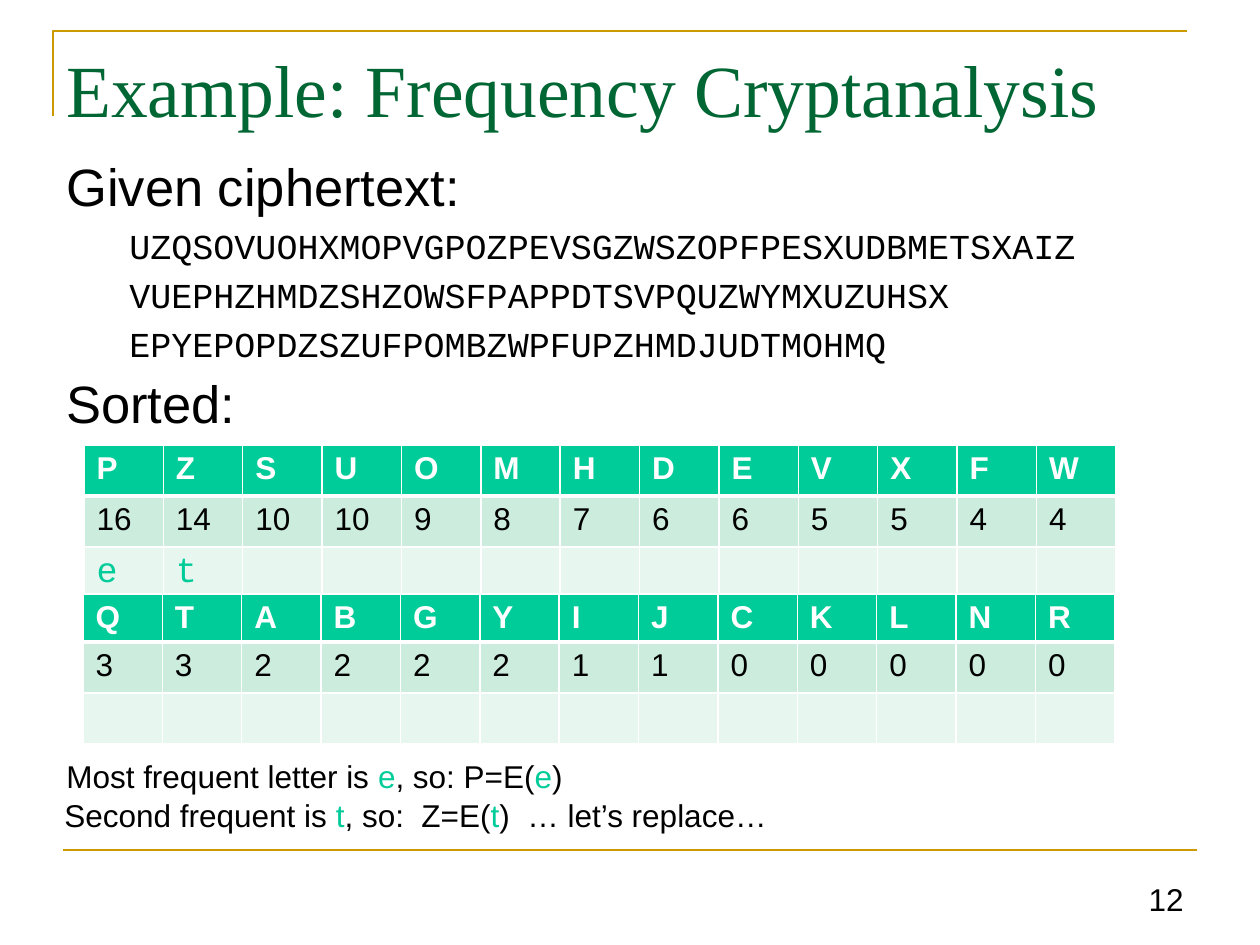
"""Build a slide on frequency cryptanalysis with sorted letter counts."""
from lxml.etree import SubElement
from pptx import Presentation
from pptx.dml.color import RGBColor
from pptx.enum.shapes import MSO_CONNECTOR
from pptx.enum.text import MSO_ANCHOR, MSO_AUTO_SIZE, PP_ALIGN
from pptx.oxml.ns import qn
from pptx.util import Pt

PX = 914400 / 126
ACCENT = "00CC99"
GOLD = "CC9900"
MONO = "Courier New"


def px(length):
    return round(length * PX)


def rgb(hex_color):
    return RGBColor.from_string(hex_color)


def write(paragraph, text, size=18, font="Arial", color="000000", bold=False,
          align=None, before=0, spacing=None, margin=0, hanging=0):
    paragraph.alignment = align
    paragraph.space_before = Pt(before)
    paragraph.line_spacing = spacing
    properties = paragraph._p.get_or_add_pPr()
    properties.set("marL", str(px(margin)))
    properties.set("indent", str(px(-hanging)))
    for index, piece in enumerate(text.split("|")):
        run = paragraph.add_run()
        run.text = piece
        run.font.size = Pt(size)
        run.font.name = font
        run.font.bold = bold
        run.font.color.rgb = rgb(ACCENT if index % 2 else color)


class SlideBuilder:
    def __init__(self, slide, rule_color=GOLD, rule_width=1.5):
        self.slide = slide
        self.rule_color = rule_color
        self.rule_width = rule_width

    def style_line(self, line):
        line.color.rgb = rgb(self.rule_color)
        line.width = Pt(self.rule_width)

    def corner(self, left, top, right, bottom):
        outline = self.slide.shapes.build_freeform(left, bottom, scale=PX)
        outline.add_line_segments([(left, top), (right, top)], close=False)
        bracket = outline.convert_to_shape()
        bracket.shadow.inherit = False
        bracket.fill.background()
        self.style_line(bracket.line)

    def rule(self, left, right, y):
        line = self.slide.shapes.add_connector(
            MSO_CONNECTOR.STRAIGHT, px(left), px(y), px(right), px(y))
        SubElement(line._element.spPr, qn("a:effectLst"))
        self.style_line(line.line)

    def text(self, left, top, width, height, paragraphs, wrap=True,
             anchor=MSO_ANCHOR.TOP):
        box = self.slide.shapes.add_textbox(px(left), px(top), px(width), px(height))
        frame = box.text_frame
        frame.word_wrap = wrap
        frame.auto_size = MSO_AUTO_SIZE.NONE if wrap else MSO_AUTO_SIZE.SHAPE_TO_FIT_TEXT
        frame.vertical_anchor = anchor
        for index, (content, style) in enumerate(paragraphs):
            paragraph = frame.add_paragraph() if index else frame.paragraphs[0]
            write(paragraph, content, **style)

    def border(self, cell, side, width):
        edge = SubElement(cell._tc.get_or_add_tcPr(), qn(f"a:{side}"), w=str(Pt(width)))
        fill = SubElement(edge, qn("a:solidFill"))
        SubElement(fill, qn("a:srgbClr"), val="FFFFFF")

    def table(self, left, top, column_width, row_heights, rows):
        columns = len(rows[0])
        grid = self.slide.shapes.add_table(
            len(rows), columns, px(left), px(top),
            px(column_width * columns), px(sum(row_heights))).table
        for column in grid.columns:
            column.width = px(column_width)
        styles = [("00CC99", dict(color="FFFFFF", bold=True)),
                  ("CCECDE", {}),
                  ("E7F6EF", dict(size=20, font=MONO, color=ACCENT))]
        for r, (values, height, (fill, style)) in enumerate(zip(rows, row_heights, styles)):
            grid.rows[r].height = px(height)
            for c in range(columns):
                cell = grid.cell(r, c)
                for side in ("lnL", "lnR", "lnT", "lnB"):
                    thick = (r, side) in ((0, "lnB"), (1, "lnT"))
                    self.border(cell, side, 3 if thick else 1)
                cell.fill.solid()
                cell.fill.fore_color.rgb = rgb(fill)
                if c < len(values):
                    write(cell.text_frame.paragraphs[0], str(values[c]), **style)


def main():
    deck = Presentation()
    deck.slide_width, deck.slide_height = px(1260), px(945)
    builder = SlideBuilder(deck.slides.add_slide(deck.slide_layouts[6]))

    builder.corner(53, 31, 1187, 116)
    builder.rule(63, 1197, 850)
    builder.text(54, 38, 1143, 189, [
        ("Example: Frequency Cryptanalysis",
         dict(size=42, font="Times New Roman", color="006633"))])

    heading = dict(size=30, before=7.5, spacing=0.9, margin=48, hanging=48)
    cipher = dict(size=20, font=MONO, before=6.5, spacing=0.9, margin=102, hanging=39)
    builder.text(54, 155, 1187, 290, [
        ("Given ciphertext:", heading),
        ("UZQSOVUOHXMOPVGPOZPEVSGZWSZOPFPESXUDBMETSXAIZ", cipher),
        ("VUEPHZHMDZSHZOWSFPAPPDTSVPQUZWYMXUZUHSX", cipher),
        ("EPYEPOPDZSZUFPOMBZWPFUPZHMDJUDTMOHMQ", cipher),
        ("Sorted:", heading)])

    common_counts = [16, 14, 10, 10, 9, 8, 7, 6, 6, 5, 5, 4, 4]
    rare_counts = [3, 3, 2, 2, 2, 2, 1, 1, 0, 0, 0, 0, 0]
    column_width = 1032 / 13
    builder.table(84, 445, column_width, [51, 51, 51],
                  ["PZSUOMHDEVXFW", common_counts, "et"])
    builder.table(83, 594, column_width, [42, 51, 51],
                  ["QTABGYIJCKLNR", rare_counts, ""])

    builder.text(54, 751, 527, 50,
                 [("Most frequent letter is |e|, so: P=E(|e|)", {})], wrap=False)
    builder.text(52, 790, 735, 50,
                 [("Second frequent is |t|, so:  Z=E(|t|)  … let’s replace…", {})],
                 wrap=False)
    builder.text(1129, 862, 67, 62, [("12", dict(align=PP_ALIGN.RIGHT))],
                 anchor=MSO_ANCHOR.BOTTOM)
    deck.save("out.pptx")


if __name__ == "__main__":
    main()
